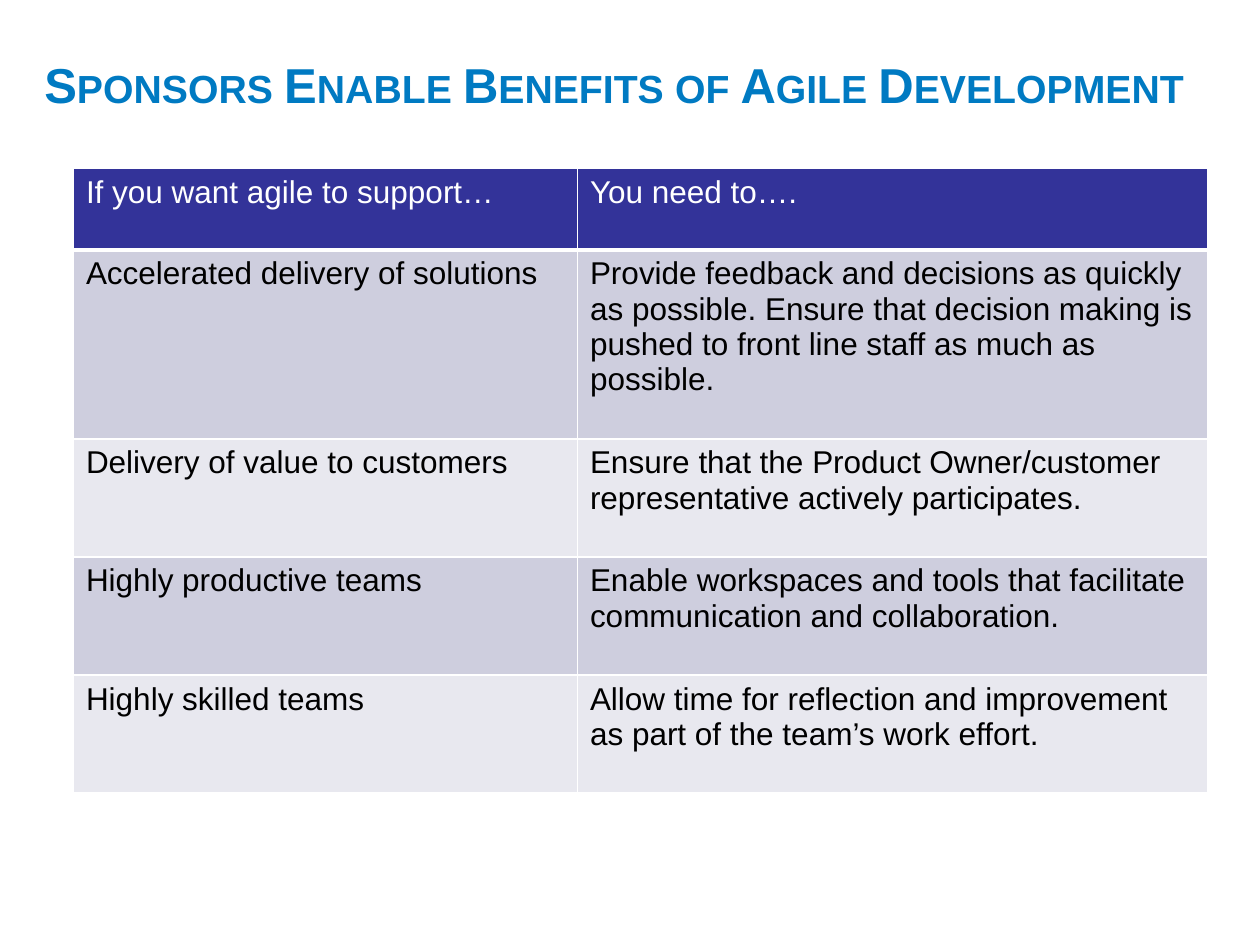
from lxml.etree import SubElement
from pptx import Presentation
from pptx.dml.color import RGBColor
from pptx.enum.text import MSO_ANCHOR, MSO_AUTO_SIZE, PP_ALIGN
from pptx.oxml.ns import qn
from pptx.util import Cm, Pt

BLUE = RGBColor(0x00, 0x7A, 0xC2)
NAVY = RGBColor(0x33, 0x33, 0x99)
LILAC = RGBColor(0xCE, 0xCE, 0xDE)
PALE = RGBColor(0xE8, 0xE8, 0xEF)
WHITE = RGBColor(0xFF, 0xFF, 0xFF)
BLACK = RGBColor(0x00, 0x00, 0x00)

TITLE = "Sponsors Enable Benefits of Agile Development"
TITLE_BOX = (0.64, 0.84, 24.13, 1.7)
TABLE_BOX = (1.48, 3.39, 22.86, 12.6)
COLUMN_WIDTHS = (10.16, 12.7)
ROW_HEIGHTS = (1.65, 3.81, 2.38, 2.38, 2.38)
ROWS = (
    ("If you want agile to support…", "You need to…."),
    ("Accelerated delivery of solutions",
     "Provide feedback and decisions as quickly as possible. Ensure that "
     "decision making is pushed to front line staff as much as possible."),
    ("Delivery of value to customers",
     "Ensure that the Product Owner/customer representative actively participates."),
    ("Highly productive teams",
     "Enable workspaces and tools that facilitate communication and collaboration."),
    ("Highly skilled teams",
     "Allow time for reflection and improvement as part of the team’s work effort."),
)


def set_all(target, values):
    """Set each attribute named in values on the target."""
    for name, value in values.items():
        setattr(target, name, value)


def write_text(frame, text, color, values):
    """Write one formatted run into a text frame and return the run."""
    span = frame.paragraphs[0].add_run()
    span.text = text
    set_all(span.font, {"name": "Arial", **values})
    span.font.color.rgb = color
    return span


def add_title(page, box):
    """Place the small-caps heading in the title placeholder."""
    title = page.shapes.title
    set_all(title, dict(zip(("left", "top", "width", "height"), map(Cm, box))))
    frame = title.text_frame
    set_all(frame, {"word_wrap": True, "auto_size": MSO_AUTO_SIZE.NONE,
                    "vertical_anchor": MSO_ANCHOR.MIDDLE})
    frame.paragraphs[0].alignment = PP_ALIGN.LEFT
    span = write_text(frame, TITLE, BLUE, {"size": Pt(28), "bold": True})
    span.font._element.set("cap", "small")


def add_borders(cell, widths):
    """Draw white cell borders with a width in points for each side."""
    properties = cell._tc.get_or_add_tcPr()
    for side, width in widths.items():
        line = SubElement(properties, qn(f"a:ln{side}"), w=str(Pt(width)))
        fill = SubElement(line, qn("a:solidFill"))
        SubElement(fill, qn("a:srgbClr"), val=str(WHITE))


def add_benefits_table(page, box):
    """Place the table of benefits and sponsor actions in the box."""
    shape = page.shapes.add_table(len(ROWS), len(COLUMN_WIDTHS), *map(Cm, box))
    table = shape.table
    for column, width in zip(table.columns, COLUMN_WIDTHS):
        column.width = Cm(width)
    for index, (row, height, texts) in enumerate(zip(table.rows, ROW_HEIGHTS, ROWS)):
        row.height = Cm(height)
        header = index == 0
        fill = NAVY if header else LILAC if index % 2 else PALE
        for cell, text in zip(row.cells, texts):
            add_borders(cell, {"L": 1, "R": 1, "T": 1, "B": 3 if header else 1})
            cell.fill.solid()
            cell.fill.fore_color.rgb = fill
            write_text(cell.text_frame, text, WHITE if header else BLACK,
                       {"size": Pt(18), "bold": False})


def main():
    """Build and save the deck."""
    deck = Presentation()
    set_all(deck, {"slide_width": Cm(25.4), "slide_height": Cm(19.05)})
    page = deck.slides.add_slide(deck.slide_layouts[5])
    add_title(page, TITLE_BOX)
    add_benefits_table(page, TABLE_BOX)
    deck.save("out.pptx")


if __name__ == "__main__":
    main()
